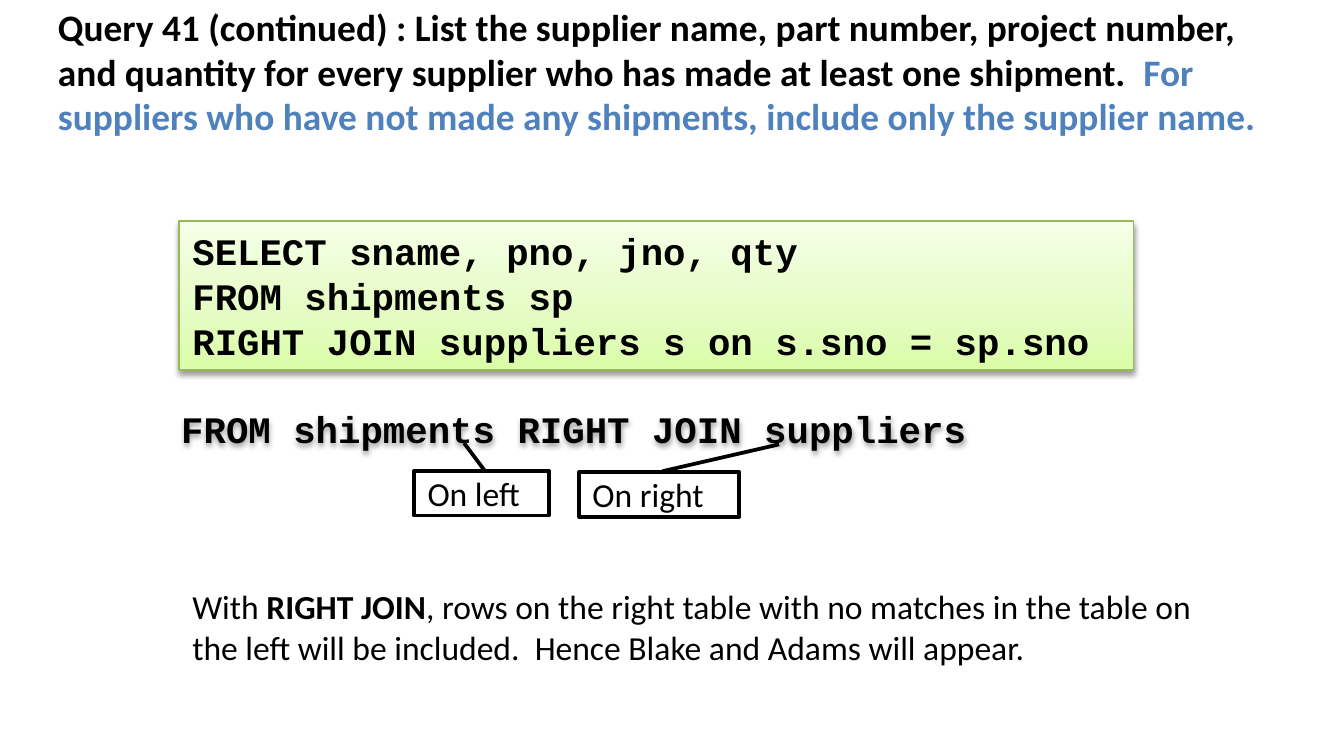
from copy import deepcopy

from lxml.etree import SubElement
from pptx import Presentation
from pptx.dml.color import RGBColor
from pptx.enum.shapes import MSO_SHAPE
from pptx.enum.text import MSO_ANCHOR, MSO_AUTO_SIZE, PP_ALIGN
from pptx.oxml.ns import qn
from pptx.util import Inches, Pt

COLORS = {"ink": "000000", "accent": "4F81BD", "edge": "98B955"}
CODE_GRADIENT = [(0, "DAFDA7"), (0.35, "E4FCC2"), (1, "F5FFE7")]
HEADING = {"name": "Calibri", "size": Pt(20), "bold": True}
CODE = {"name": "Courier New", "size": Pt(20), "bold": True}
BODY = {"name": "Calibri", "size": Pt(18), "bold": False}
GROWING = {"auto_size": MSO_AUTO_SIZE.SHAPE_TO_FIT_TEXT, "word_wrap": True}
UNWRAPPED = {**GROWING, "word_wrap": False}
CENTERED = {"word_wrap": True, "vertical_anchor": MSO_ANCHOR.MIDDLE}

deck = Presentation()
deck.slide_width = Inches(10)
deck.slide_height = deck.slide_width * 9 // 16
COLUMN = deck.slide_width / 100
ROW = deck.slide_height / 56.25
slide = deck.slides.add_slide(deck.slide_layouts[6])


def add_text(place, lines, font, frame, preset=None):
    left, top, width, height = place
    box = [int(v) for v in (left * COLUMN, top * ROW, width * COLUMN, height * ROW)]
    if preset is None:
        block = slide.shapes.add_textbox(*box)
    else:
        block = slide.shapes.add_shape(preset, *box)
        block.shadow.inherit = False
    for key, value in frame.items():
        setattr(block.text_frame, key, value)
    for number, line in enumerate(lines):
        paragraph = block.text_frame.add_paragraph() if number else block.text_frame.paragraphs[0]
        paragraph.alignment = PP_ALIGN.LEFT
        for words, changes in line:
            run = paragraph.add_run()
            run.text = words
            look = {**font, **changes}
            run.font.color.rgb = RGBColor.from_string(COLORS[look.pop("color", "ink")])
            for key, value in look.items():
                setattr(run.font, key, value)
    return block


def add_shadow(block):
    block.shadow.inherit = False
    effects = block._element.spPr.find(qn("a:effectLst"))
    shadow = SubElement(effects, qn("a:outerShdw"), blurRad=str(Pt(3.1)), dist=str(Pt(1.6)),
                        dir="5400000", rotWithShape="0")
    tint = SubElement(shadow, qn("a:srgbClr"), val=COLORS["ink"])
    SubElement(tint, qn("a:alpha"), val="38000")


add_text((3.33, -0.2, 92.9, 11.1), [[
    ("Query 41 (continued) : List the supplier name, part number, project number,  "
     "and quantity for every supplier who has made at least one shipment.  ", {}),
    ("For suppliers who have not made any shipments, include only the supplier name.",
     {"color": "accent"}),
]], HEADING, GROWING)

query = add_text((13.33, 16.45, 71, 11.1), [
    [("SELECT sname, pno, jno, qty", {})],
    [("FROM shipments sp", {})],
    [("RIGHT JOIN suppliers s on s.sno = sp.sno", {})],
], CODE, UNWRAPPED, MSO_SHAPE.RECTANGLE)
query.fill.gradient()
query.fill.gradient_angle = 90
stops = query.fill._xPr.find(qn("a:gradFill")).find(qn("a:gsLst"))
stops.append(deepcopy(stops[-1]))
for stop, (position, color) in zip(query.fill.gradient_stops, CODE_GRADIENT):
    stop.position = position
    stop.color.rgb = RGBColor.from_string(color)
query.line.color.rgb = RGBColor.from_string(COLORS["edge"])
query.line.width = Pt(0.75)
add_shadow(query)

join_clause = add_text((12.5, 29.7, 62.6, 4.4),
                       [[("FROM shipments RIGHT JOIN suppliers", {})]], CODE, UNWRAPPED)
add_shadow(join_clause)

for side, place, pointer_end in [
    ("On left", (30.83, 35.03, 10, 3.33), 0.37),
    ("On right", (43.1, 35.13, 11.9, 3.33), 1.25),
]:
    callout = add_text(place, [[(side, {})]], BODY, CENTERED, MSO_SHAPE.LINE_CALLOUT_1)
    callout.fill.background()
    callout.line.color.rgb = RGBColor.from_string(COLORS["ink"])
    callout.line.width = Pt(2)
    for number, share in enumerate((-0.02, 0.52, -0.62, pointer_end)):
        callout.adjustments[number] = share

add_text((13.33, 43.13, 76.7, 7.1), [[
    ("With ", {}),
    ("RIGHT JOIN", {"bold": True}),
    (", rows on the right table with no matches in the table on the left will be included.  "
     "Hence Blake and Adams will appear.", {}),
]], BODY, GROWING)

deck.save("out.pptx")
